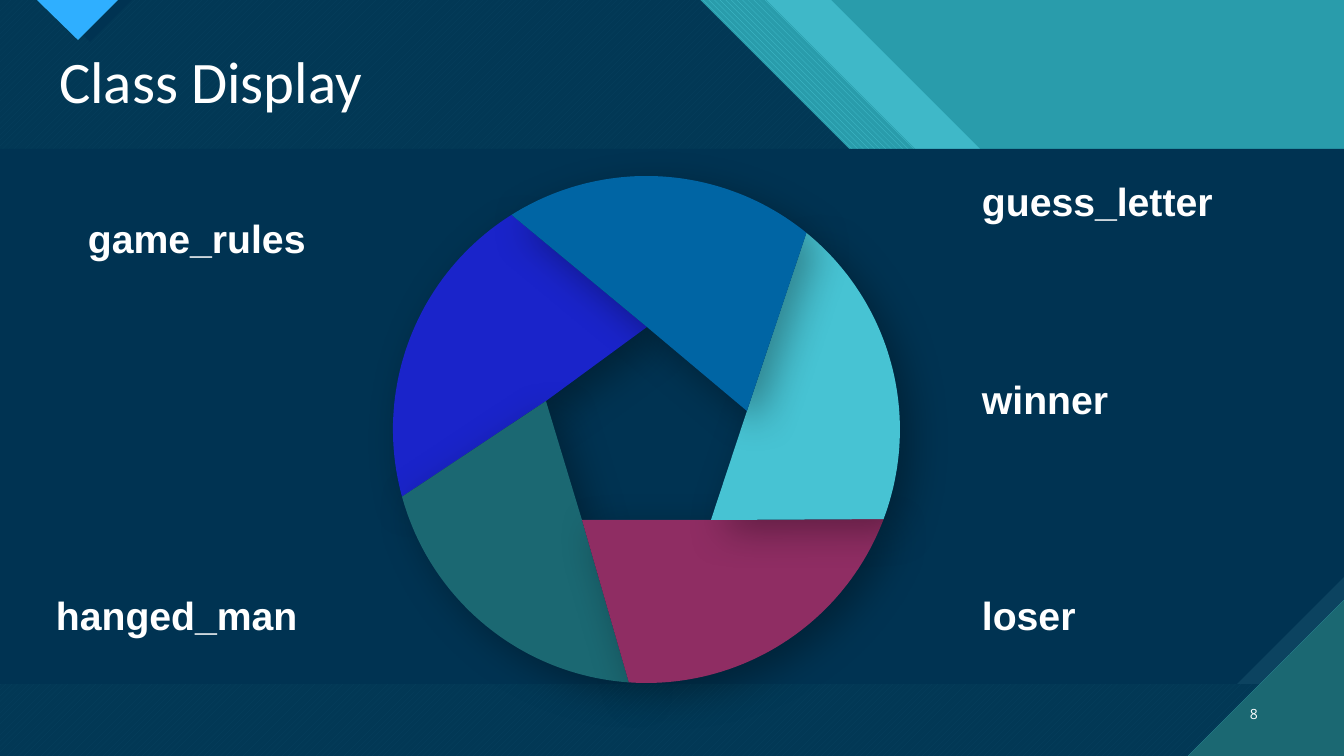
import dataclasses
import math

import lxml.etree
import pptx
import pptx.dml.color
import pptx.enum.dml
import pptx.enum.shapes
import pptx.enum.text
import pptx.oxml.ns
import pptx.util

PATTERN = pptx.enum.dml.MSO_PATTERN
EMU_PER_PX = 914400 / 100.8
SLIDE_W, SLIDE_H = 1344, 756
PANEL_TOP, PANEL_H = 149, 535


@dataclasses.dataclass(frozen=True)
class Theme:
    """Colours and text formats of the slide."""
    white: str = "FFFFFF"
    navy: str = "003352"
    slate: str = "0C4360"
    aqua: str = "47C3D3"
    teal: str = "299CAB"
    pine: str = "1B6872"
    sky: str = "2FAFFF"
    indigo: str = "1A24CA"
    plum: str = "8F2D63"
    blue: str = "0065A4"
    black: str = "000000"
    title = {"name": "Calibri", "size": pptx.util.Pt(42), "bold": False}
    label = {"name": "Arial", "size": pptx.util.Pt(28), "bold": True}
    number = {"name": "Open Sans", "size": pptx.util.Pt(10), "bold": False}


THEME = Theme()


def px(length):
    """Turn pixels into EMU."""
    return pptx.util.Emu(round(length * EMU_PER_PX))


def rgb(colour):
    """Turn a hex string into a colour."""
    return pptx.dml.color.RGBColor.from_string(colour)


def add_xml(parent, tag, **attributes):
    """Append a DrawingML child element and return it."""
    return lxml.etree.SubElement(parent, pptx.oxml.ns.qn(tag), attributes)


def paint(shape, colour, back=None, pattern=None, opacity=100):
    """Fill a shape, solid or patterned, without outline or shadow."""
    shape.shadow.inherit = False
    shape.line.fill.background()
    if pattern is None:
        shape.fill.solid()
        shape.fill.fore_color.rgb = rgb(colour)
    else:
        shape.fill.patterned()
        shape.fill.pattern = pattern
        shape.fill.fore_color.rgb = rgb(colour)
        shape.fill.back_color.rgb = rgb(back)
    if opacity < 100:
        tint = shape._element.spPr.find(".//" + pptx.oxml.ns.qn("a:srgbClr"))
        add_xml(tint, "a:alpha", val=str(opacity * 1000))


def add_outline(slide, points, colour, **fill):
    """Add a closed polygon through pixel points."""
    corners = [(px(x), px(y)) for x, y in points]
    builder = slide.shapes.build_freeform(*corners[0])
    builder.add_line_segments(corners[1:], close=True)
    outline = builder.convert_to_shape()
    paint(outline, colour, **fill)
    return outline


def add_slant(slide, edge, colour, **fill):
    """Cover the slide left of a 45 degree header edge, and all below it."""
    drop = 300
    points = [(0, 0), (edge, 0), (edge + drop, drop), (SLIDE_W, drop),
              (SLIDE_W, SLIDE_H), (0, SLIDE_H)]
    add_outline(slide, points, colour, **fill)


def add_drop_shadow(shape):
    """Give a blade a soft shadow towards the lower right."""
    effects = shape._element.spPr.find(pptx.oxml.ns.qn("a:effectLst"))
    shadow = add_xml(effects, "a:outerShdw", blurRad=str(pptx.util.Pt(29)),
                     dist=str(pptx.util.Pt(11)), dir="2700000",
                     algn="tl", rotWithShape="0")
    tint = add_xml(shadow, "a:srgbClr", val=THEME.black)
    add_xml(tint, "a:alpha", val="32000")


def write(frame, text, colour, text_format):
    """Write one unwrapped line into a text frame."""
    frame.word_wrap = False
    paragraph = frame.paragraphs[0]
    paragraph.alignment = pptx.enum.text.PP_ALIGN.LEFT
    run = paragraph.add_run()
    run.text = text
    for attribute, value in text_format.items():
        setattr(run.font, attribute, value)
    run.font.color.rgb = rgb(colour)


def add_text(slide, text, box, text_format, inset=0):
    """Add a white text box at a pixel box."""
    frame = slide.shapes.add_textbox(*map(px, box)).text_frame
    for side in ("left", "top", "right", "bottom"):
        setattr(frame, "margin_" + side, px(inset))
    write(frame, text, THEME.white, text_format)


def add_title(slide, text):
    """Place the title placeholder above the backdrop."""
    title = slide.shapes.title
    place = {"left": 49, "top": 47, "width": 428, "height": 74}
    for attribute, value in place.items():
        setattr(title, attribute, px(value))
    write(title.text_frame, text, THEME.white, THEME.title)
    title.text_frame.vertical_anchor = pptx.enum.text.MSO_ANCHOR.MIDDLE
    title.text_frame.paragraphs[0].line_spacing = 0.9
    slide.shapes._spTree.append(title._element)


def add_panel(slide, snip, colour, **fill):
    """Add the content panel with its lower right corner cut by snip."""
    kind = pptx.enum.shapes.MSO_SHAPE.SNIP_1_RECTANGLE
    panel = slide.shapes.add_shape(
        kind, *map(px, (0, PANEL_TOP, SLIDE_W, PANEL_H)))
    panel.adjustments[0] = snip
    panel._element.spPr.xfrm.set("flipV", "1")
    paint(panel, colour, **fill)


def add_backdrop(slide):
    """Draw the header bands, the panel and the corner accents."""
    base = slide.shapes.add_shape(pptx.enum.shapes.MSO_SHAPE.RECTANGLE,
                                  0, 0, px(SLIDE_W), px(SLIDE_H))
    paint(base, THEME.teal)
    add_slant(slide, 831, THEME.aqua, opacity=74)
    add_slant(slide, 766, THEME.aqua, back=THEME.teal,
              pattern=PATTERN.WIDE_DOWNWARD_DIAGONAL)
    add_slant(slide, 700, THEME.aqua, back=THEME.pine,
              pattern=PATTERN.WIDE_UPWARD_DIAGONAL)
    add_slant(slide, 700, THEME.navy, opacity=90)
    add_outline(slide, [(48, 0), (132, 0), (90, 42)], THEME.navy)
    add_outline(slide, [(37, 0), (118, 0), (78, 40)], THEME.sky,
                back=THEME.pine, pattern=PATTERN.DARK_HORIZONTAL)
    add_panel(slide, 0, THEME.slate, back=THEME.pine,
              pattern=PATTERN.DARK_VERTICAL)
    add_panel(slide, 0.2, THEME.navy)
    corner = 156
    add_outline(slide, [(SLIDE_W - corner, SLIDE_H), (SLIDE_W, SLIDE_H),
                        (SLIDE_W, SLIDE_H - corner)], THEME.pine,
                back=THEME.aqua, pattern=PATTERN.DARK_HORIZONTAL)


def arc(centre, radius, start, end, steps=48):
    """Return points clockwise on a circle between two rim points."""
    first, last = (math.atan2(y - centre[1], x - centre[0])
                   for x, y in (start, end))
    sweep = (last - first) % math.tau
    angles = [first + sweep * step / steps for step in range(steps + 1)]
    return [(centre[0] + radius * math.cos(angle),
             centre[1] + radius * math.sin(angle)) for angle in angles]


def add_aperture(slide):
    """Draw the five overlapping blades around the pentagon."""
    centre, radius = (646.5, 429.5), 253.5
    rim = [(511, 214), (401, 497), (629, 681), (886, 520), (808, 231)]
    pentagon = [(647, 327), (546, 401), (582, 520), (711, 520), (747, 411)]
    colours = [THEME.indigo, THEME.pine, THEME.plum, THEME.aqua, THEME.blue]
    for end, colour in enumerate(colours):
        start = (end + 1) % len(rim)
        points = arc(centre, radius, rim[start], rim[end])
        points += [pentagon[end], pentagon[start]]
        add_drop_shadow(add_outline(slide, points, colour))


def main():
    """Build and save the slide."""
    deck = pptx.Presentation()
    deck.slide_width, deck.slide_height = px(SLIDE_W), px(SLIDE_H)
    slide = deck.slides.add_slide(deck.slide_layouts[5])
    add_backdrop(slide)
    add_text(slide, "8", (1241, 697, 44, 40), THEME.number, inset=9)
    add_title(slide, "Class Display")
    methods = [("game_rules", 88, 214, 235), ("hanged_man", 56, 591, 269),
               ("guess_letter", 982, 177, 247), ("winner", 982, 375, 141),
               ("loser", 982, 591, 97)]
    for method, left, top, width in methods:
        add_text(slide, method, (left, top, width, 47), THEME.label)
    add_aperture(slide)
    deck.save("out.pptx")


main()
